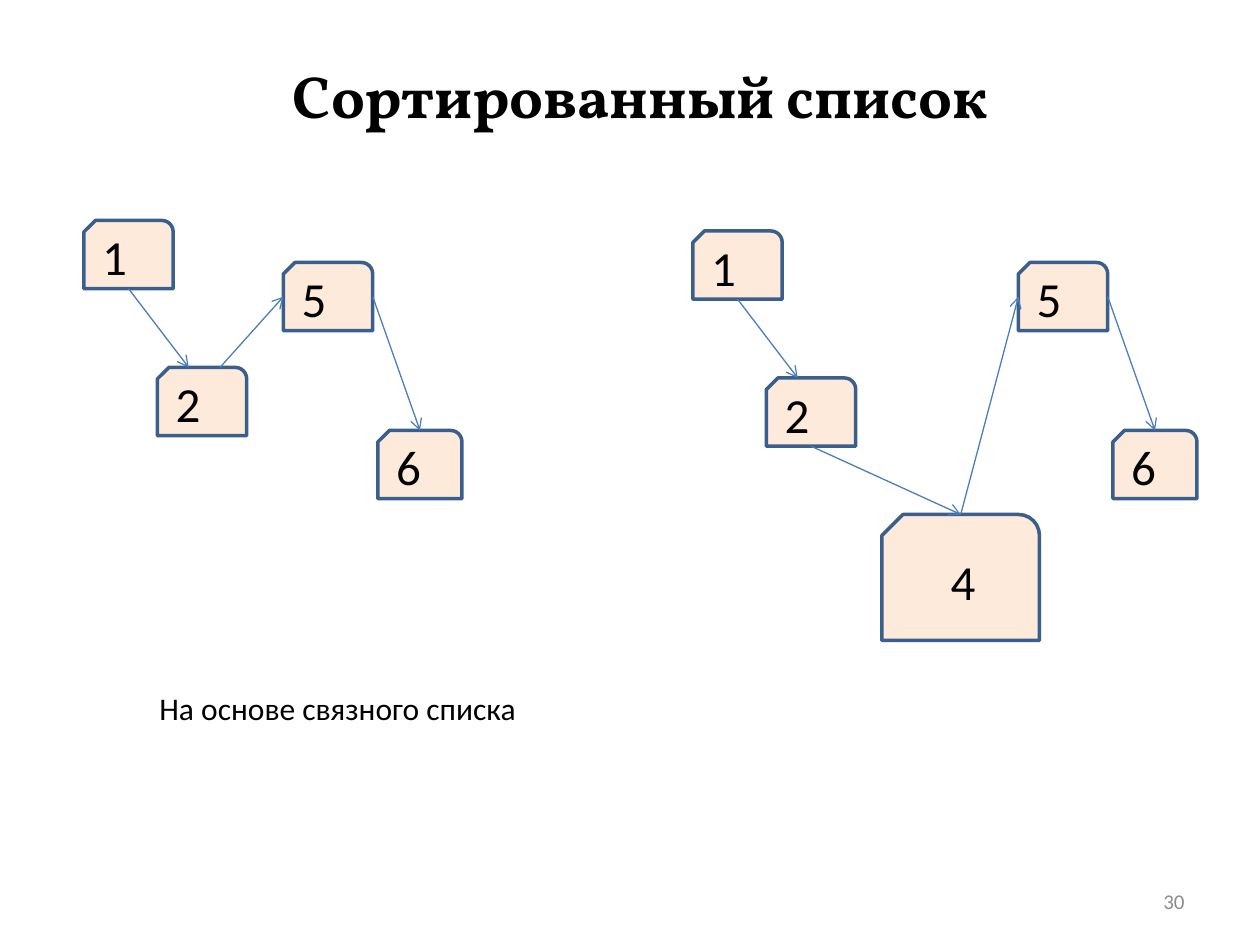
from lxml import etree
from pptx import Presentation
from pptx.dml.color import RGBColor
from pptx.enum import shapes as sh, text as tx
from pptx.oxml import ns
from pptx.util import Pt

BLACK = RGBColor(0, 0, 0)
GRAY = RGBColor(0x8C, 0x8C, 0x8C)
PEACH = RGBColor(0xFD, 0xEA, 0xDA)
NAVY = RGBColor(0x3A, 0x5F, 0x8C)
BLUE = RGBColor(0x4B, 0x7E, 0xBC)
WIDE, HIGH = 51, 39
LEFT, MID, RIGHT = tx.PP_ALIGN.LEFT, tx.PP_ALIGN.CENTER, tx.PP_ALIGN.RIGHT


def write(shape, words, size=28, font="Calibri", color=BLACK, bold=False,
          align=LEFT, anchor=tx.MSO_ANCHOR.MIDDLE, wrap=True, before=0):
    frame = shape.text_frame
    frame.text = words
    frame.word_wrap = wrap
    frame.auto_size = tx.MSO_AUTO_SIZE.NONE
    frame.vertical_anchor = anchor
    para = frame.paragraphs[0]
    para.alignment = align
    para.space_before = Pt(before)
    face = para.runs[0].font
    face.size, face.name, face.bold = Pt(size), font, bold
    face.color.rgb = color


def label(slide, words, box, **style):
    write(slide.shapes.add_textbox(*map(Pt, box)), words, **style)


def node(slide, words, x, y, wide=WIDE, high=HIGH, align=LEFT):
    card = slide.shapes.add_shape(sh.MSO_SHAPE.SNIP_ROUND_RECTANGLE,
                                  Pt(x), Pt(y), Pt(wide), Pt(high))
    card.shadow.inherit = False
    card.fill.solid()
    card.fill.fore_color.rgb = PEACH
    card.line.color.rgb = NAVY
    card.line.width = Pt(2)
    card.element.spPr.find(ns.qn("a:xfrm")).set("flipH", "1")
    write(card, words, align=align)
    return card


def spot(card, across, down):
    return (int(card.left + card.width * across),
            int(card.top + card.height * down))


def arrow(slide, start, end):
    link = slide.shapes.add_connector(sh.MSO_CONNECTOR.STRAIGHT, *start, *end)
    link.line.color.rgb = BLUE
    link.line.width = Pt(0.75)
    line = link.line._get_or_add_ln()
    etree.SubElement(line, ns.qn("a:tailEnd")).set("type", "arrow")
    etree.SubElement(link.element.spPr, ns.qn("a:effectLst"))


def chain(slide, one, two, five, six, four=None):
    first, second, fifth = (node(slide, word, *place) for word, place in
                            (("1", one), ("2", two), ("5", five)))
    sixth = node(slide, "6", *six, wide=48)
    arrow(slide, spot(first, 0.5, 1), spot(second, 0.35, 0))
    if four:
        fresh = node(slide, "4", *four, wide=90, high=72, align=MID)
        arrow(slide, spot(second, 0.5, 1), spot(fresh, 0.5, 0))
        arrow(slide, spot(fresh, 0.5, 0), spot(fifth, 0, 0.5))
    else:
        arrow(slide, spot(second, 0.7, 0), spot(fifth, 0, 0.5))
    arrow(slide, spot(fifth, 1, 0.5), spot(sixth, 0.5, 0))


def main():
    deck = Presentation()
    deck.slide_width, deck.slide_height = Pt(720), Pt(540)
    slide = deck.slides.add_slide(deck.slide_layouts[5])
    title = slide.shapes.title
    title.left, title.top, title.width, title.height = map(Pt, (72, 30, 588, 42))
    write(title, "Сортированный список", size=34, font="Vollkorn", bold=True,
          align=MID, anchor=tx.MSO_ANCHOR.TOP, before=3)
    chain(slide, (48, 126), (90, 210), (162, 150), (216, 246))
    chain(slide, (396, 132), (438, 216), (582, 150), (636, 246), (504, 294))
    label(slide, "На основе связного списка", (84, 390, 220, 29), size=18,
          anchor=tx.MSO_ANCHOR.TOP, wrap=False)
    label(slide, "30", (516, 500.5, 168, 28.75), size=12, color=GRAY, align=RIGHT)
    deck.save("out.pptx")


main()
